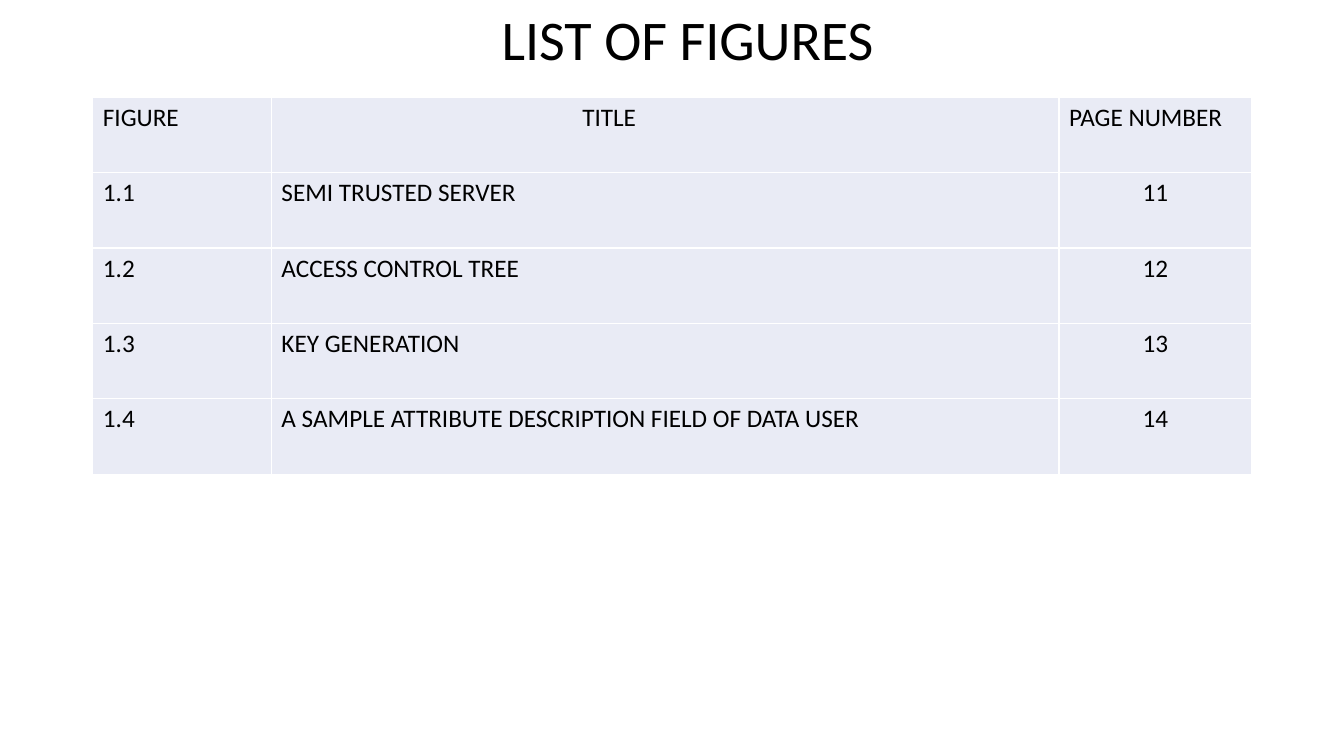
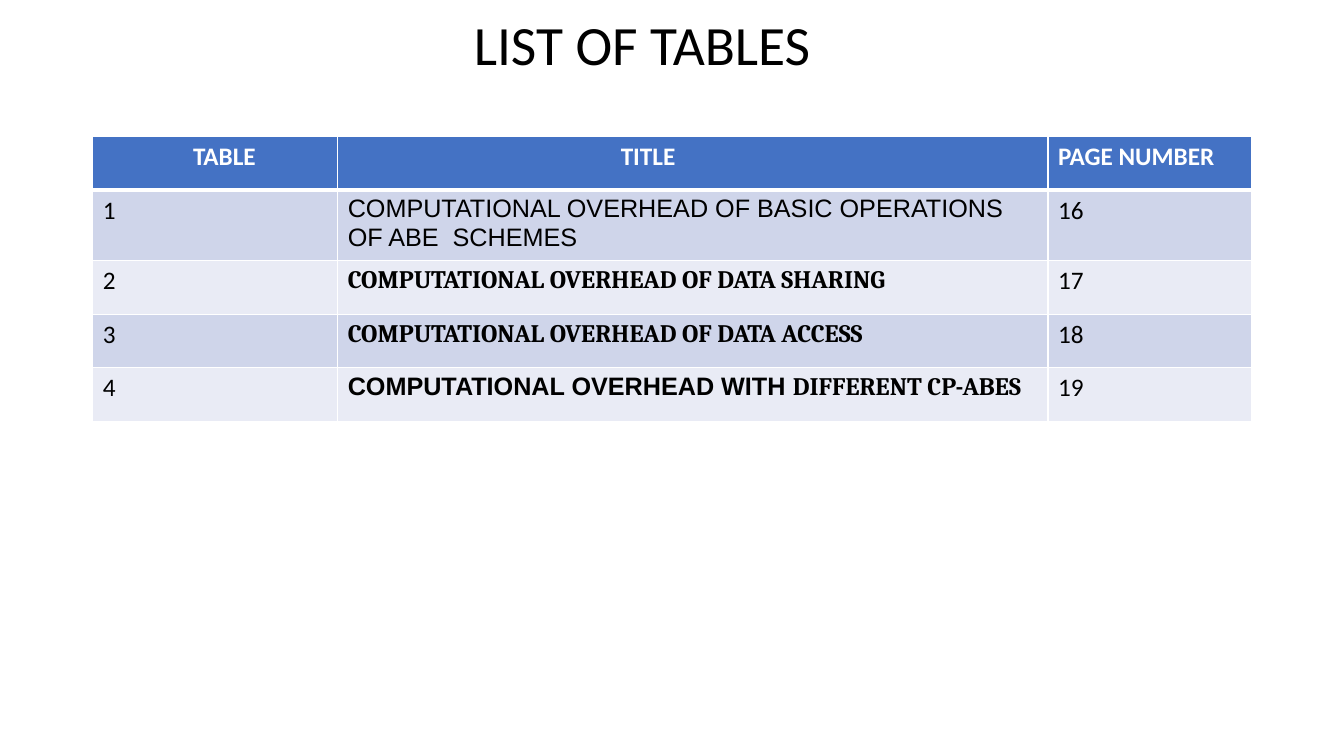
from lxml import etree
from pptx import Presentation
from pptx import util as u
from pptx.dml.color import RGBColor
from pptx.enum import text
from pptx.oxml import ns

BLACK = RGBColor(0x00, 0x00, 0x00)
WHITE = RGBColor(0xFF, 0xFF, 0xFF)
BLUE = RGBColor(0x44, 0x72, 0xC4)
BAND_DARK = RGBColor(0xCF, 0xD5, 0xEA)
BAND_LIGHT = RGBColor(0xE9, 0xEB, 0xF5)
BODY_FONT = "Calibri"
LEFT, WIDTH = 2.34, 29.2


def style_run(run, size, color, font=BODY_FONT, bold=False):
    run.font.size = u.Pt(size)
    run.font.name = font
    run.font.bold = bold
    run.font.color.rgb = color


def indent_paragraph(paragraph, indent):
    properties = paragraph._p.get_or_add_pPr()
    properties.set("marL", str(u.Cm(indent)))
    properties.set("indent", "0")


def add_title(slide, wording, top, height, size, indent):
    title = slide.shapes.add_textbox(u.Cm(LEFT), u.Cm(top), u.Cm(WIDTH), u.Cm(height))
    frame = title.text_frame
    frame.word_wrap = True
    frame.vertical_anchor = text.MSO_ANCHOR.MIDDLE
    frame.text = wording
    paragraph = frame.paragraphs[0]
    paragraph.line_spacing = 0.9
    indent_paragraph(paragraph, indent)
    style_run(paragraph.runs[0], size, BLACK)


def add_borders(cell, top, bottom):
    properties = cell._tc.get_or_add_tcPr()
    widths = {"lnL": 1, "lnR": 1, "lnT": top, "lnB": bottom}
    for position, (side, width) in enumerate(widths.items()):
        line = etree.Element(ns.qn("a:" + side), w=str(u.Pt(width)))
        fill = etree.SubElement(line, ns.qn("a:solidFill"))
        etree.SubElement(fill, ns.qn("a:srgbClr"), val=str(WHITE))
        properties.insert(position, line)


def fill_cell(cell, content, fill, color, bold, indent, align):
    cell.fill.solid()
    cell.fill.fore_color.rgb = fill
    paragraph = cell.text_frame.paragraphs[0]
    paragraph.alignment = align
    indent_paragraph(paragraph, indent)
    parts = [(content, BODY_FONT, bold)] if isinstance(content, str) else content
    for wording, font, part_bold in parts:
        run = paragraph.add_run()
        run.text = wording
        style_run(run, 18, color, font, part_bold)


def add_listing(slide, rows, top, column_widths, row_heights, indents, banded, page_align):
    table = slide.shapes.add_table(
        len(rows), len(column_widths), u.Cm(LEFT), u.Cm(top), u.Cm(WIDTH), u.Cm(sum(row_heights))
    ).table
    table.first_row = table.horz_banding = False
    for column, width in zip(table.columns, column_widths):
        column.width = u.Cm(width)
    header_rule = 3 if banded else 1
    for r, entries in enumerate(rows):
        table.rows[r].height = u.Cm(row_heights[r])
        header = r == 0
        strong = header and banded
        fill = BLUE if strong else BAND_DARK if banded and r % 2 else BAND_LIGHT
        for c, content in enumerate(entries):
            cell = table.cell(r, c)
            align = page_align if c == 2 and not header else text.PP_ALIGN.LEFT
            fill_cell(cell, content, fill, WHITE if strong else BLACK, strong,
                      indents[c] if header else 0, align)
            add_borders(cell, header_rule if r == 1 else 1, header_rule if header else 1)


def build_figures_slide(slide):
    add_title(slide, "LIST OF FIGURES", 0, 2.13, 40, 10.05)
    rows = [
        ("FIGURE", "TITLE", "PAGE NUMBER"),
        ("1.1", "SEMI TRUSTED SERVER", "11"),
        ("1.2", "ACCESS CONTROL TREE", "12"),
        ("1.3", "KEY GENERATION", "13"),
        ("1.4", "A SAMPLE ATTRIBUTE DESCRIPTION FIELD OF DATA USER", "14"),
    ]
    add_listing(slide, rows, 2.45, (4.5, 19.85, 4.85), [1.9] * 5, (0, 7.58, 0),
                False, text.PP_ALIGN.CENTER)


def build_tables_slide(slide):
    add_title(slide, "LIST OF TABLES", 0.48, 1.42, 39.6, 9.35)
    rows = [
        ("TABLE", "TITLE", "PAGE NUMBER"),
        ("1", [("COMPUTATIONAL OVERHEAD OF BASIC OPERATIONS OF ABE  SCHEMES", "Arial", False)], "16"),
        ("2", [("COMPUTATIONAL OVERHEAD OF DATA SHARING", "Cambria", True)], "17"),
        ("3", [("COMPUTATIONAL OVERHEAD OF DATA ACCESS", "Cambria", True)], "18"),
        ("4", [("COMPUTATIONAL OVERHEAD WITH ", "Arial", True),
               ("DIFFERENT CP-ABES", "Cambria", True)], "19"),
    ]
    add_listing(slide, rows, 3.44, (6.17, 17.9, 5.13), [1.35, 1.7, 1.35, 1.35, 1.35],
                (2.27, 6.88, 0), True, text.PP_ALIGN.LEFT)


def main():
    deck = Presentation()
    deck.slide_width, deck.slide_height = u.Cm(33.87), u.Cm(19.05)
    for build in (build_figures_slide, build_tables_slide):
        build(deck.slides.add_slide(deck.slide_layouts[6]))
    deck.save("out.pptx")


if __name__ == "__main__":
    main()
